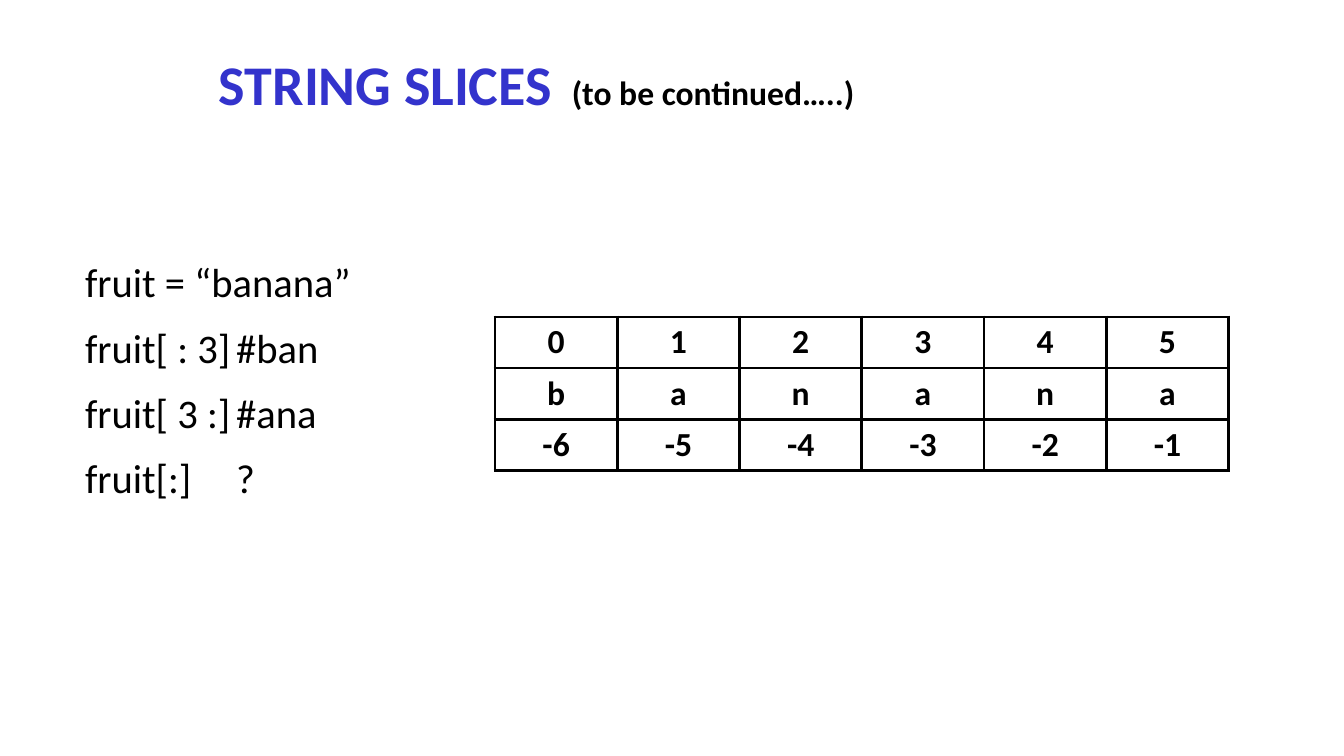
from lxml import etree
from pptx import Presentation
from pptx.dml.color import RGBColor
from pptx.enum import text
from pptx.oxml import ns
from pptx.util import Pt

PX = 914400 / 100.8
FONT = "Calibri"
COLORS = {"heading": "3333CC", "ink": "000000", "paper": "FFFFFF"}

EXAMPLES = ["fruit = “banana”", "fruit[ : 3]\t#ban", "fruit[ 3 :]\t#ana", "fruit[:]\t?"]
WORD = "banana"


def px(length):
    return round(length * PX)


def color(name):
    return RGBColor.from_string(COLORS[name])


def style(run, size, ink="ink", bold=False):
    run.font.name = FONT
    run.font.size = Pt(size)
    run.font.bold = bold
    run.font.color.rgb = color(ink)


def place(shape, left, top, width, height):
    shape.left, shape.top = px(left), px(top)
    shape.width, shape.height = px(width), px(height)


def set_tab(paragraph, position):
    """Remove bullet and indent, and put one left tab stop at position."""
    properties = paragraph._p.get_or_add_pPr()
    properties.set("marL", "0")
    properties.set("indent", "0")
    etree.SubElement(properties, ns.qn("a:buNone"))
    stops = etree.SubElement(properties, ns.qn("a:tabLst"))
    etree.SubElement(stops, ns.qn("a:tab"), pos=str(px(position)), algn="l")


def add_heading(title):
    place(title, 67, 28, 1192, 116)
    frame = title.text_frame
    frame.auto_size = text.MSO_AUTO_SIZE.NONE
    frame.vertical_anchor = text.MSO_ANCHOR.MIDDLE
    frame.margin_left = px(152)
    line = frame.paragraphs[0]
    line.alignment = text.PP_ALIGN.LEFT
    line.line_spacing = 0.97
    set_tab(line, 596)
    for words, size, ink in [("STRING SLICES\t", 40, "heading"),
                             ("(to be continued…..)", 24, "ink")]:
        run = line.add_run()
        run.text = words
        style(run, size, ink, bold=True)


def add_examples(body):
    place(body, 67, 177, 1192, 485)
    frame = body.text_frame
    frame.auto_size = text.MSO_AUTO_SIZE.NONE
    frame.margin_left, frame.margin_top = px(18), px(83)
    frame.margin_right = frame.margin_bottom = 0
    frame.text = "\n".join(EXAMPLES)
    for line in frame.paragraphs:
        line.line_spacing = 0.97
        line.space_before = Pt(0)
        line.space_after = Pt(12.9)
        set_tab(line, 230)
        for run in line.runs:
            style(run, 29)


def add_borders(cell):
    properties = cell._tc.get_or_add_tcPr()
    for side in ("lnL", "lnR", "lnT", "lnB"):
        border = etree.SubElement(properties, ns.qn(f"a:{side}"), w=str(Pt(2.25)))
        fill = etree.SubElement(border, ns.qn("a:solidFill"))
        etree.SubElement(fill, ns.qn("a:srgbClr"), val=COLORS["ink"])


def add_index_table(slide):
    """Show each letter between its positive and its negative index."""
    count = len(WORD)
    rows = [range(count), WORD, range(-count, 0)]
    column_width, row_height = px(122.3), px(51)
    table = slide.shapes.add_table(len(rows), count, px(495), px(317),
                                   column_width * count, row_height * len(rows)).table
    table.first_row = table.horz_banding = False
    for column in table.columns:
        column.width = column_width
    for r, values in enumerate(rows):
        table.rows[r].height = row_height
        for c, value in enumerate(values):
            cell = table.cell(r, c)
            add_borders(cell)
            cell.fill.solid()
            cell.fill.fore_color.rgb = color("paper")
            cell.text_frame.text = str(value)
            line = cell.text_frame.paragraphs[0]
            line.alignment = text.PP_ALIGN.CENTER
            style(line.runs[0], 24, bold=True)


def main():
    deck = Presentation()
    deck.slide_width, deck.slide_height = px(1344), px(756)
    slide = deck.slides.add_slide(deck.slide_layouts[1])
    add_heading(slide.shapes.title)
    add_examples(slide.placeholders[1])
    add_index_table(slide)
    deck.save("out.pptx")


if __name__ == "__main__":
    main()
